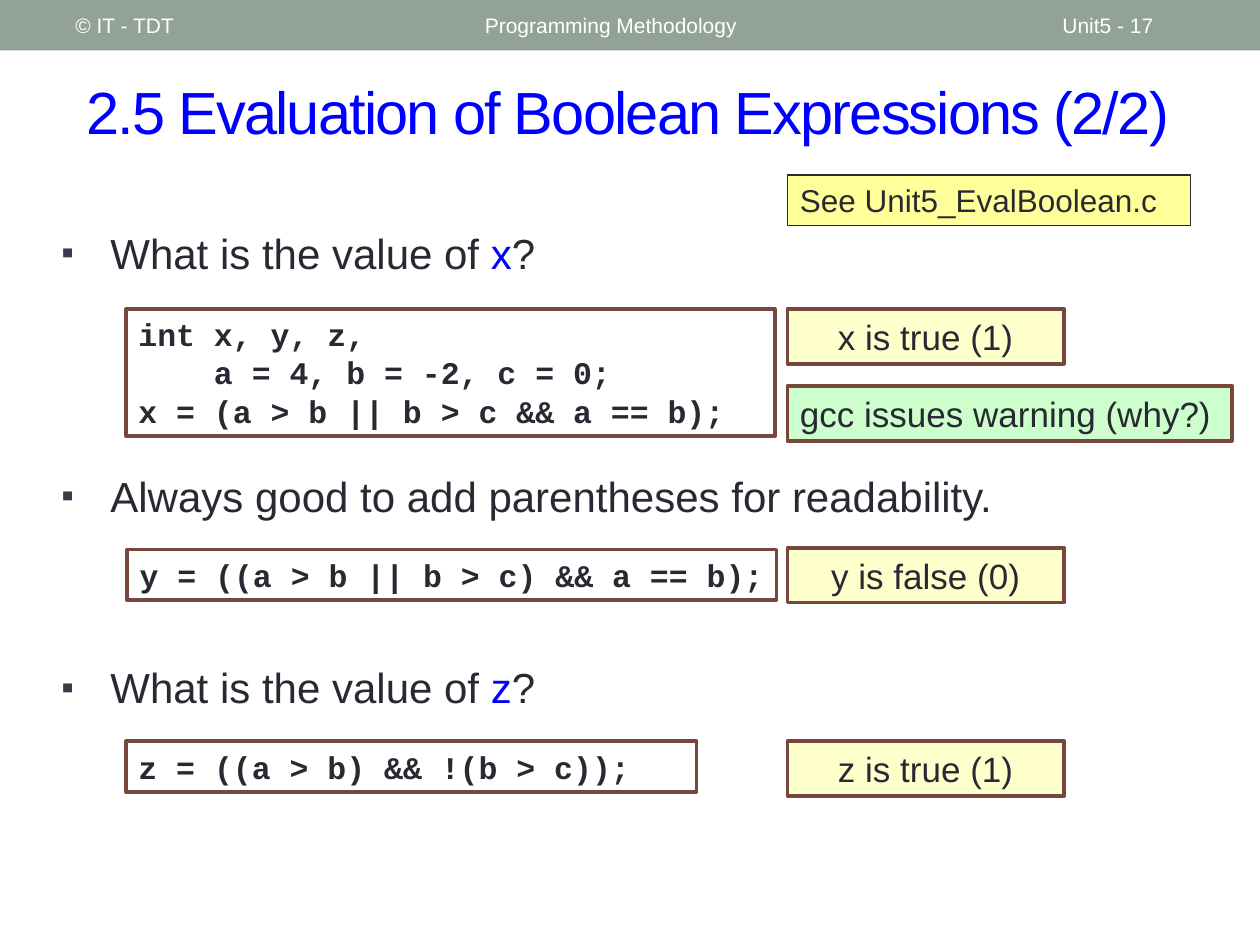
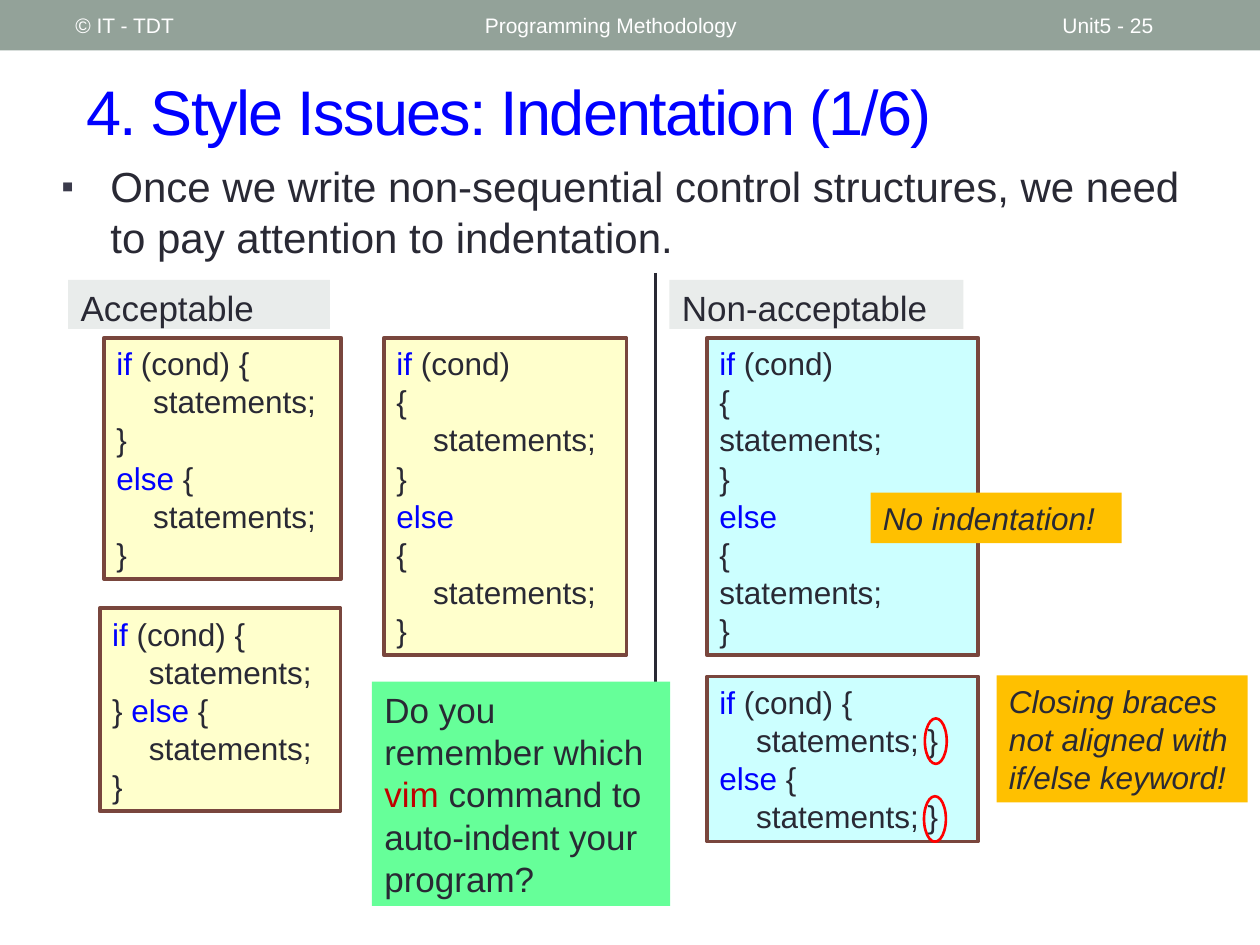
from dataclasses import dataclass

from lxml.etree import SubElement
from pptx import Presentation
from pptx.dml.color import RGBColor
from pptx.enum.shapes import MSO_CONNECTOR, MSO_SHAPE
from pptx.enum.text import MSO_ANCHOR, MSO_AUTO_SIZE, PP_ALIGN
from pptx.oxml.ns import qn
from pptx.util import Pt


@dataclass(frozen=True)
class Theme:
    sans: str = "Arial"
    mono: str = "Courier New"
    ink: str = "292934"
    blue: str = "0000FF"
    red: str = "FF0000"
    dark_red: str = "C00000"
    brown: str = "79463D"
    band: str = "93A299"
    bullet: str = "3B3B4B"
    white: str = "FFFFFF"
    cream: str = "FFFFCC"
    yellow: str = "FFFF99"
    mint: str = "CCFFCC"
    aqua: str = "CCFFFF"
    grey: str = "E9ECEB"
    orange: str = "FFC000"
    green: str = "66FF99"
    header_size: int = 12
    code_size: int = 18
    label_size: int = 20
    body_size: int = 24
    line_ratio: float = 1.21
    border: float = 2.08


THEME = Theme()

BOX_STYLES = {
    "code": dict(fill=THEME.white, line=THEME.brown, size=THEME.code_size, font=THEME.mono, bold=True),
    "answer": dict(fill=THEME.cream, line=THEME.brown, size=THEME.label_size, align=PP_ALIGN.CENTER),
    "warning": dict(fill=THEME.mint, line=THEME.brown, size=THEME.label_size),
    "file": dict(fill=THEME.yellow, line=THEME.ink, line_width=0.75, size=THEME.code_size),
    "label": dict(fill=THEME.grey, size=THEME.label_size),
    "good": dict(fill=THEME.cream, line=THEME.brown, size=THEME.code_size, tabs=(21, 42.5)),
    "bad": dict(fill=THEME.aqua, line=THEME.brown, size=THEME.code_size, tabs=(21, 42.5)),
    "comment": dict(fill=THEME.orange, size=THEME.code_size, italic=True),
    "question": dict(fill=THEME.green, size=THEME.label_size, accent=THEME.dark_red),
}

CODE_LEFT, ANSWER_LEFT, ANSWER_WIDTH = 72, 450, 158
LABEL_TOP, SAMPLE_TOP, BAD_LEFT, BAD_WIDTH = 160, 193, 404, 155
COMMENT_WIDTH = 143.5

SLIDES = [
    {
        "title": "2.5 Evaluation of Boolean Expressions (2/2)",
        "title_size": 34,
        "number": 17,
        "bullets": [
            (126, "What is the value of *x*?"),
            (265, "Always good to add parentheses for readability."),
            (374.5, "What is the value of *z*?"),
        ],
        "boxes": [
            ("file", ANSWER_LEFT, 100, 230.5, ["See Unit5_EvalBoolean.c"]),
            ("code", CODE_LEFT, 176.5, 371, [
                "int x, y, z,",
                "    a = 4, b = -2, c = 0;",
                "x = (a > b || b > c && a == b);",
            ]),
            ("answer", ANSWER_LEFT, 176.5, ANSWER_WIDTH, ["x is true (1)"]),
            ("warning", ANSWER_LEFT, 220.5, 254, ["gcc issues warning (why?)"]),
            ("code", CODE_LEFT + 0.7, 314, 371, ["y = ((a > b || b > c) && a == b);"]),
            ("answer", ANSWER_LEFT, 313, ANSWER_WIDTH, ["y is false (0)"]),
            ("code", CODE_LEFT, 423.5, 326, ["z = ((a > b) && !(b > c));"]),
            ("answer", ANSWER_LEFT, 423.5, ANSWER_WIDTH, ["z is true (1)"]),
        ],
    },
    {
        "title": "4. Style Issues: Indentation (1/6)",
        "title_size": 36,
        "number": 25,
        "bullets": [
            (88, "Once we write non-sequential control structures, we need to pay attention to indentation."),
        ],
        "divider": (374.5, 156, 501),
        "boxes": [
            ("label", 39, LABEL_TOP, 149.5, ["Acceptable"]),
            ("good", 59.5, SAMPLE_TOP, 135.5, [
                "*if* (cond) {", "\tstatements;", "}", "*else* {", "\tstatements;", "}",
            ]),
            ("good", 219.5, SAMPLE_TOP, 138.5, [
                "*if* (cond)", "{", "\tstatements;", "}", "*else*", "{", "\tstatements;", "}",
            ]),
            ("good", 57, 347.5, 137.5, [
                "*if* (cond) {", "\tstatements;", "} *else* {", "\tstatements;", "}",
            ]),
            ("label", 382.5, LABEL_TOP, 168, ["Non-acceptable"]),
            ("bad", BAD_LEFT, SAMPLE_TOP, BAD_WIDTH, [
                "*if* (cond)", "{", "statements;", "}", "*else*", "{", "statements;", "}",
            ]),
            ("bad", BAD_LEFT, 386.5, BAD_WIDTH, [
                "*if* (cond) {", "\tstatements; }", "*else* {", "\tstatements; }",
            ]),
            ("comment", 497.5, 281.5, COMMENT_WIDTH, ["No indentation!"]),
            ("comment", 569.5, 386, COMMENT_WIDTH, ["Closing braces not aligned with if/else keyword!"], 3),
            ("question", 212.5, 389.5, 170.5, [
                "Do you remember which *vim* command to auto-indent your program?",
            ], 5),
        ],
        "circles": [(528.5, 410.5), (528, 455)],
    },
]


def color(value):
    return RGBColor.from_string(value)


def points(*values):
    return [Pt(value) for value in values]


def format_runs(paragraph, size, tint=THEME.ink, font=THEME.sans, bold=False, italic=False):
    for run in paragraph.runs:
        run.font.name = font
        run.font.size = Pt(size)
        run.font.bold = bold
        run.font.italic = italic
        run.font.color.rgb = color(tint)


def write_line(paragraph, text, size, accent=THEME.blue, **font):
    paragraph.line_spacing = Pt(size * THEME.line_ratio)
    parts = text.split("*")
    for part in parts:
        if part:
            paragraph.add_run().text = part
    format_runs(paragraph, size, **font)
    visible = [index for index, part in enumerate(parts) if part]
    for index, run in zip(visible, paragraph.runs):
        if index % 2:
            run.font.color.rgb = color(accent)


def add_tabs(paragraph, stops):
    tab_list = SubElement(paragraph._p.get_or_add_pPr(), qn("a:tabLst"))
    for stop in stops:
        SubElement(tab_list, qn("a:tab"), pos=str(Pt(stop)), algn="l")


def add_bullet_mark(paragraph, indent):
    properties = paragraph._p.get_or_add_pPr()
    properties.set("marL", str(Pt(indent)))
    properties.set("indent", str(-Pt(indent)))
    mark_color = SubElement(properties, qn("a:buClr"))
    SubElement(mark_color, qn("a:srgbClr"), val=THEME.bullet)
    SubElement(properties, qn("a:buSzPct"), val="85000")
    SubElement(properties, qn("a:buFont"), typeface=THEME.sans)
    SubElement(properties, qn("a:buChar"), char="▪")


def add_plain_shape(slide, kind, bounds, fill=None, line=None, line_width=THEME.border):
    shape = slide.shapes.add_shape(kind, *points(*bounds))
    shape.shadow.inherit = False
    if fill:
        shape.fill.solid()
        shape.fill.fore_color.rgb = color(fill)
    else:
        shape.fill.background()
    if line:
        shape.line.color.rgb = color(line)
        shape.line.width = Pt(line_width)
    else:
        shape.line.fill.background()
    return shape


def add_box(slide, kind, left, top, width, lines, rows=None):
    style = dict(BOX_STYLES[kind])
    tabs = style.pop("tabs", ())
    align = style.pop("align", PP_ALIGN.LEFT)
    outline = {key: style.pop(key) for key in ("fill", "line", "line_width") if key in style}
    height = (rows or len(lines)) * style["size"] * THEME.line_ratio + 7.2
    if kind == "label":
        height = 28
    shape = add_plain_shape(slide, MSO_SHAPE.RECTANGLE, (left, top, width, height), **outline)
    text_frame = shape.text_frame
    text_frame.word_wrap = True
    text_frame.vertical_anchor = MSO_ANCHOR.TOP
    if kind == "code":
        text_frame.margin_right = Pt(0)
    for index, line in enumerate(lines):
        paragraph = text_frame.add_paragraph() if index else text_frame.paragraphs[0]
        paragraph.alignment = align
        if tabs:
            add_tabs(paragraph, tabs)
        write_line(paragraph, line, **style)


def add_header(slide, number):
    add_plain_shape(slide, MSO_SHAPE.RECTANGLE, (0, 0, 720, 28.8), fill=THEME.band)
    entries = [
        (36, 228, "© IT - TDT"),
        (270, 324, "Programming Methodology"),
        (600, 84, f"Unit5 - {number}"),
    ]
    for left, width, text in entries:
        text_frame = slide.shapes.add_textbox(*points(left, 1.5, width, 26)).text_frame
        text_frame.word_wrap = True
        text_frame.vertical_anchor = MSO_ANCHOR.MIDDLE
        text_frame.text = text
        format_runs(text_frame.paragraphs[0], THEME.header_size, THEME.white)


def set_title(slide, text, size):
    title = slide.shapes.title
    title.left, title.top, title.width, title.height = points(42, 30, 660, 66.5)
    text_frame = title.text_frame
    text_frame.text = text
    text_frame.auto_size = MSO_AUTO_SIZE.NONE
    text_frame.vertical_anchor = MSO_ANCHOR.MIDDLE
    paragraph = text_frame.paragraphs[0]
    paragraph.alignment = PP_ALIGN.LEFT
    format_runs(paragraph, size, THEME.blue)
    for run in paragraph.runs:
        run._r.get_or_add_rPr().set("spc", "-100")


def add_bullet(slide, top, text):
    text_frame = slide.shapes.add_textbox(*points(28, top, 661, 45)).text_frame
    text_frame.word_wrap = True
    paragraph = text_frame.paragraphs[0]
    add_bullet_mark(paragraph, 28)
    write_line(paragraph, text, THEME.body_size)


def add_divider(slide, left, top, bottom):
    connector = slide.shapes.add_connector(MSO_CONNECTOR.STRAIGHT, *points(left, top, left, bottom))
    connector.line.color.rgb = color(THEME.ink)
    connector.line.width = Pt(1.5)
    SubElement(connector._element.spPr, qn("a:effectLst"))


def build_slide(presentation, content):
    slide = presentation.slides.add_slide(presentation.slide_layouts[5])
    add_header(slide, content["number"])
    set_title(slide, content["title"], content["title_size"])
    for bullet in content["bullets"]:
        add_bullet(slide, *bullet)
    if "divider" in content:
        add_divider(slide, *content["divider"])
    for box in content["boxes"]:
        add_box(slide, *box)
    for left, top in content.get("circles", []):
        add_plain_shape(slide, MSO_SHAPE.OVAL, (left, top, 12.5, 26), line=THEME.red, line_width=1.5)


def main():
    presentation = Presentation()
    presentation.slide_width, presentation.slide_height = points(720, 540)
    for content in SLIDES:
        build_slide(presentation, content)
    presentation.save("out.pptx")


if __name__ == "__main__":
    main()
